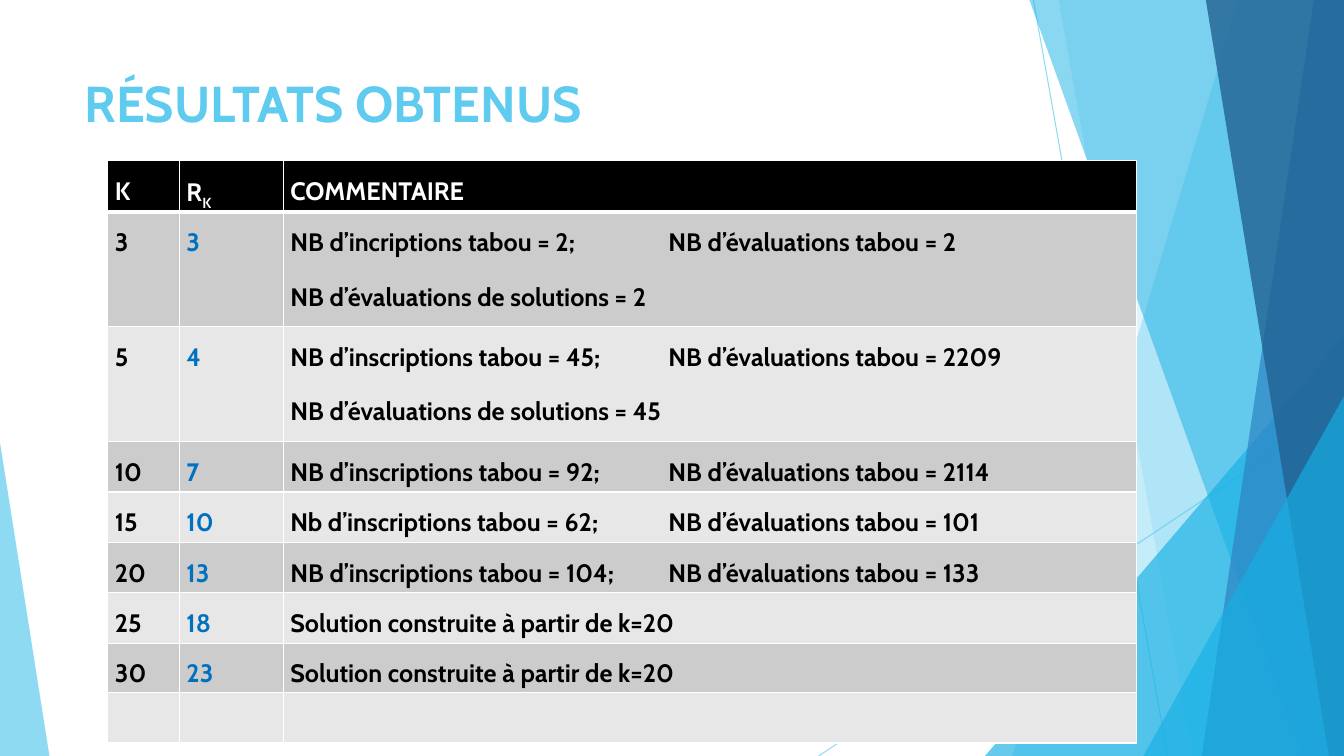
"""Builds the slide of tabu search results with its faceted background."""
from lxml import etree
from pptx import Presentation
from pptx.dml.color import RGBColor
from pptx.enum.shapes import MSO_CONNECTOR, MSO_SHAPE
from pptx.enum.text import MSO_ANCHOR, PP_ALIGN
from pptx.oxml.ns import qn
from pptx.util import Inches, Pt

STRAIGHT = MSO_CONNECTOR.STRAIGHT
TRIANGLE = MSO_SHAPE.ISOSCELES_TRIANGLE
TOP = MSO_ANCHOR.TOP
LEFT, JUSTIFY = PP_ALIGN.LEFT, PP_ALIGN.JUSTIFY

FONT = "Cabin"
COLORS = {
    "sky": "5FCBEF", "cyan": "17B0E4", "blue": "2E83C3", "navy": "226292",
    "white": "FFFFFF", "black": "000000", "result": "0070C0",
    "dark band": "CCCCCC", "light band": "E7E7E7",
}
WIDTH, HEIGHT = 13.33, 7.5

TITLE = "RÉSULTATS OBTENUS"
HEADER = ("K", "RK", "COMMENTAIRE")
RESULTS = [
    ("3", "3", "NB d’incriptions tabou = 2;\tNB d’évaluations tabou = 2\n"
               "NB d’évaluations de solutions = 2"),
    ("5", "4", "NB d’inscriptions tabou = 45;\tNB d’évaluations tabou = 2209\n"
               "NB d’évaluations de solutions = 45"),
    ("10", "7", "NB d’inscriptions tabou = 92;\tNB d’évaluations tabou = 2114"),
    ("15", "10", "Nb d’inscriptions tabou = 62;\tNB d’évaluations tabou = 101"),
    ("20", "13", "NB d’inscriptions tabou = 104;\tNB d’évaluations tabou = 133"),
    ("25", "18", "Solution construite à partir de k=20"),
    ("30", "23", "Solution construite à partir de k=20"),
    ("", "", ""),
]
COLUMN_WIDTHS = (0.71, 1.03, 8.46)
ROW_HEIGHTS = (0.5, 1.14, 1.14, 0.5, 0.5, 0.5, 0.5, 0.49, 0.5)
TAB_STOP = 3.75

RAYS = [((10.25, 0), (11.58, HEIGHT)), ((WIDTH, 4.03), (8.12, HEIGHT))]
FACETS = [
    ("band", (12.28, 10.04), "sky", 36),
    ("band", (10.5, 11.83), "sky", 20),
    ("triangle", (9.77, 3.33, 3.56, 4.17, 1), "cyan", 66),
    ("band", (10.21, 12.91), "cyan", 50),
    ("band", (13.03, 11.92), "blue", 70),
    ("band", (11.96, 13.18), "navy", 80),
    ("triangle", (11.34, 3.93, 1.99, 3.57, 1), "cyan", 66),
    ("triangle", (0, 4.39, 0.49, 3.11, 0), "sky", 70),
]


def color(name):
    return RGBColor.from_string(COLORS[name])


def set_opacity(element, percent):
    for color_node in element.spPr.iter(qn("a:srgbClr")):
        etree.SubElement(color_node, qn("a:alpha")).set("val", str(percent * 1000))


def add_ray(shapes, start, end):
    ray = shapes.add_connector(STRAIGHT, *map(Inches, start + end))
    ray.line.color.rgb = color("sky")
    ray.line.width = Pt(0.75)
    set_opacity(ray._element, 70)
    etree.SubElement(ray._element.spPr, qn("a:effectLst"))


def add_facet(shapes, kind, geometry, fill, opacity):
    if kind == "band":
        top_x, bottom_x = geometry
        builder = shapes.build_freeform(Inches(top_x), 0)
        corners = [(WIDTH, 0), (WIDTH, HEIGHT), (bottom_x, HEIGHT)]
        builder.add_line_segments([(Inches(x), Inches(y)) for x, y in corners])
        facet = builder.convert_to_shape()
    else:
        *box, apex = geometry
        facet = shapes.add_shape(TRIANGLE, *map(Inches, box))
        facet.adjustments[0] = apex
    facet.shadow.inherit = False
    facet.fill.solid()
    facet.fill.fore_color.rgb = color(fill)
    facet.line.fill.background()
    set_opacity(facet._element, opacity)


def format_font(font, size, font_color):
    font.name, font.size, font.bold = FONT, Pt(size), True
    font.color.rgb = color(font_color)


def set_borders(cell, bottom_width):
    properties = cell._tc.get_or_add_tcPr()
    widths = {"a:lnL": 1, "a:lnR": 1, "a:lnT": 1, "a:lnB": bottom_width}
    for position, (tag, width) in enumerate(widths.items()):
        border = etree.Element(qn(tag), w=str(Pt(width)))
        fill = etree.SubElement(border, qn("a:solidFill"))
        etree.SubElement(fill, qn("a:srgbClr")).set("val", COLORS["white"])
        properties.insert(position, border)


def fill_cell(cell, text, row, column):
    is_header = row == 0
    band = "black" if is_header else "dark band" if row % 2 else "light band"
    font_color = "white" if is_header else "result" if column == 1 else "black"
    cell.fill.solid()
    cell.fill.fore_color.rgb = color(band)
    cell.margin_left = cell.margin_right = Inches(0.07)
    cell.margin_top = cell.margin_bottom = 0
    set_borders(cell, 3 if is_header else 1)
    cell.text_frame.text = text
    for paragraph in cell.text_frame.paragraphs:
        paragraph.alignment = LEFT if column == 2 and not is_header else JUSTIFY
        paragraph.line_spacing = 1.5
        paragraph.space_before = Pt(6 if is_header else 0)
        paragraph.space_after = Pt(6)
        if "\t" in paragraph.text:
            tabs = etree.SubElement(paragraph._p.get_or_add_pPr(), qn("a:tabLst"))
            etree.SubElement(tabs, qn("a:tab"), pos=str(Inches(TAB_STOP)), algn="l")
        if text == "RK":
            paragraph.text = "R"
            subscript = paragraph.add_run()
            subscript.text = "K"
            subscript._r.get_or_add_rPr().set("baseline", "-25000")
        for run in paragraph.runs:
            format_font(run.font, 18, font_color)


def add_results(shapes):
    rows = [HEADER] + RESULTS
    table = shapes.add_table(
        len(rows), len(HEADER), Inches(1.07), Inches(1.59),
        Inches(sum(COLUMN_WIDTHS)), Inches(sum(ROW_HEIGHTS))).table
    for column, width in zip(table.columns, COLUMN_WIDTHS):
        column.width = Inches(width)
    for row, height in zip(table.rows, ROW_HEIGHTS):
        row.height = Inches(height)
    for row, texts in enumerate(rows):
        for column, text in enumerate(texts):
            fill_cell(table.cell(row, column), text, row, column)


def place_title(title):
    title.left, title.top = Inches(0.74), Inches(0.67)
    title.width, title.height = Inches(9.4), Inches(1.44)
    title.text_frame.text = TITLE
    title.text_frame.vertical_anchor = TOP
    paragraph = title.text_frame.paragraphs[0]
    paragraph.alignment = LEFT
    format_font(paragraph.runs[0].font, 36, "sky")
    title._element.getparent().append(title._element)


def main():
    presentation = Presentation()
    presentation.slide_width = Inches(WIDTH)
    presentation.slide_height = Inches(HEIGHT)
    slide = presentation.slides.add_slide(presentation.slide_layouts[5])
    for start, end in RAYS:
        add_ray(slide.shapes, start, end)
    for facet in FACETS:
        add_facet(slide.shapes, *facet)
    place_title(slide.shapes.title)
    add_results(slide.shapes)
    presentation.save("out.pptx")


if __name__ == "__main__":
    main()
